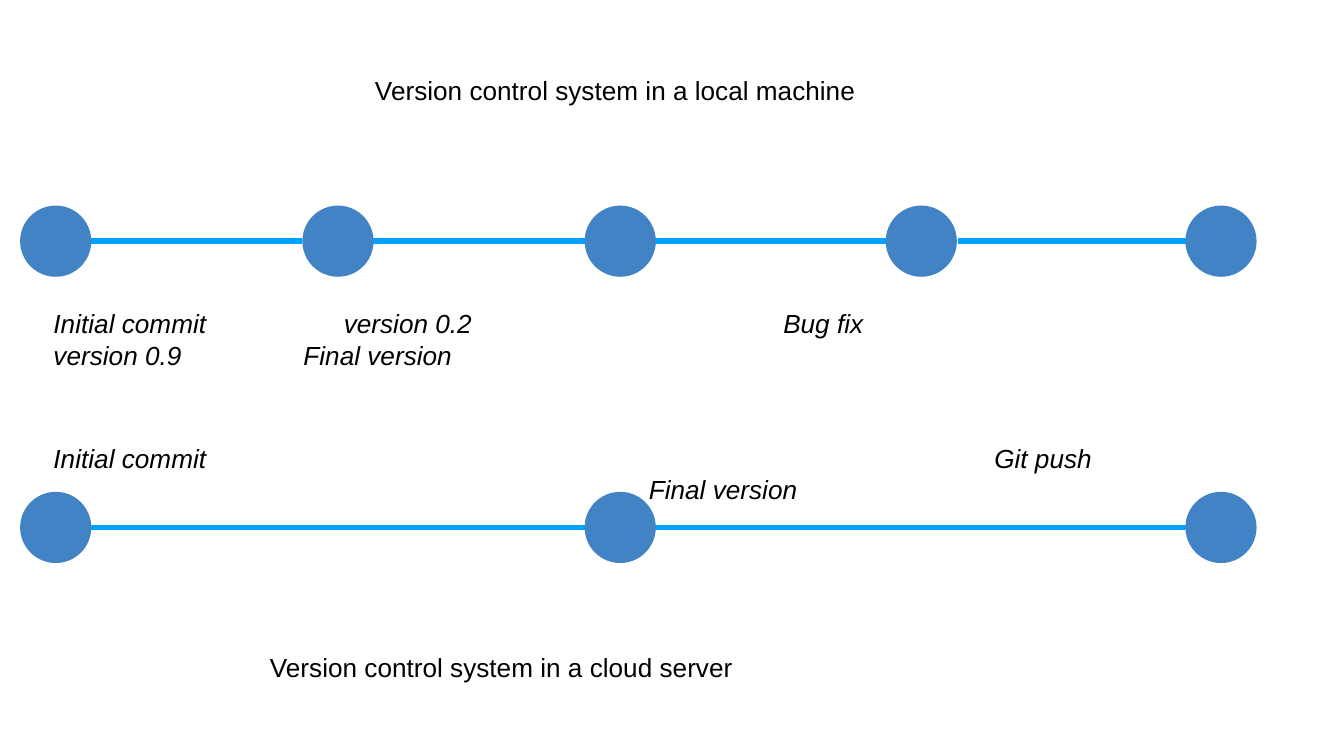
from lxml.etree import SubElement
from pptx import Presentation
from pptx.dml.color import RGBColor
from pptx.enum.shapes import MSO_CONNECTOR as Line, MSO_SHAPE as Shape
from pptx.enum.text import MSO_ANCHOR as Anchor, MSO_AUTO_SIZE as Fit, PP_ALIGN as Align
from pptx.oxml.ns import qn
from pptx.util import Inches, Pt

BLUE = RGBColor(0x41, 0x83, 0xC4)
SKY = RGBColor(0x00, 0xA2, 0xFF)
BLACK = RGBColor(0x00, 0x00, 0x00)

# Grid of 100 columns by 56.25 rows; one cell is a tenth of an inch
COLS, ROWS = 100, 56.25
DOT = 5.3
PAD = 1


def cell(count):
    return Inches(count / 10)


def put(shape, box):
    shape.left, shape.top, shape.width, shape.height = map(cell, box)


def write(shape, rows, tabs=(), italic=False):
    frame = shape.text_frame
    frame.word_wrap = True
    frame.auto_size = Fit.SHAPE_TO_FIT_TEXT
    frame.vertical_anchor = Anchor.TOP
    frame.margin_left = frame.margin_right = cell(PAD)
    frame.margin_top = frame.margin_bottom = cell(PAD)
    frame.text = "\n".join(rows)
    for i, para in enumerate(frame.paragraphs):
        para.alignment = Align.LEFT
        para.space_before = Pt(0)
        if tabs:
            stops = SubElement(para._p.get_or_add_pPr(), qn("a:tabLst"))
            for stop in tabs[i]:
                SubElement(stops, qn("a:tab"), pos=str(cell(stop)), algn="l")
        font = para.font
        font.name, font.size, font.italic = "Arial", Pt(14), italic
        font.color.rgb = BLACK


def heading(shape, box, text):
    put(shape, box)
    write(shape, [text])


def labels(slide, box, rows, tabs):
    area = slide.shapes.add_textbox(*map(cell, box))
    write(area, rows, tabs, italic=True)


def timeline(slide, left, top, dots, starts, span):
    """Lines of one length behind a row of commit dots."""
    mid = cell(top + DOT / 2)
    for start in starts:
        x = left + start
        line = slide.shapes.add_connector(
            Line.STRAIGHT, cell(x), mid, cell(x + span), mid)
        line.line.color.rgb = SKY
        line.line.width = Pt(3)
        SubElement(line._element.spPr, qn("a:effectLst"))
    for dot in dots:
        node = slide.shapes.add_shape(
            Shape.OVAL, cell(left + dot), cell(top), cell(DOT), cell(DOT))
        node.shadow.inherit = False
        node.fill.solid()
        node.fill.fore_color.rgb = BLUE
        node.line.fill.background()


def main():
    deck = Presentation()
    deck.slide_width, deck.slide_height = cell(COLS), cell(ROWS)
    slide = deck.slides.add_slide(deck.slide_layouts[5])

    # Local machine
    heading(slide.shapes.title, (26.9, 4.5, 68.2, 4.4),
            "Version control system in a local machine")
    timeline(slide, 1.5, 15.3, (0, 21, 42, 64.4, 86.7),
             (2.3, 24.6, 46.5, 69.8), 18.7)
    labels(slide, (3, 21.9, 92.3, 4.4),
           ("Initial commit\tversion 0.2\tBug fix", "version 0.9\tFinal version"),
           ((21.6, 54.3), (18.6,)))

    # Cloud server
    timeline(slide, 1.5, 36.6, (0, 42, 86.7), (5.3,), 83.2)
    labels(slide, (3, 31.9, 92.3, 4.4),
           ("Initial commit\tGit push", "\tFinal version"),
           ((70,), (44.3,)))
    box = (19.1, 47.5, 68.2, 4.4)
    heading(slide.shapes.add_textbox(*map(cell, box)), box,
            "Version control system in a cloud server")

    deck.save("out.pptx")


if __name__ == "__main__":
    main()
